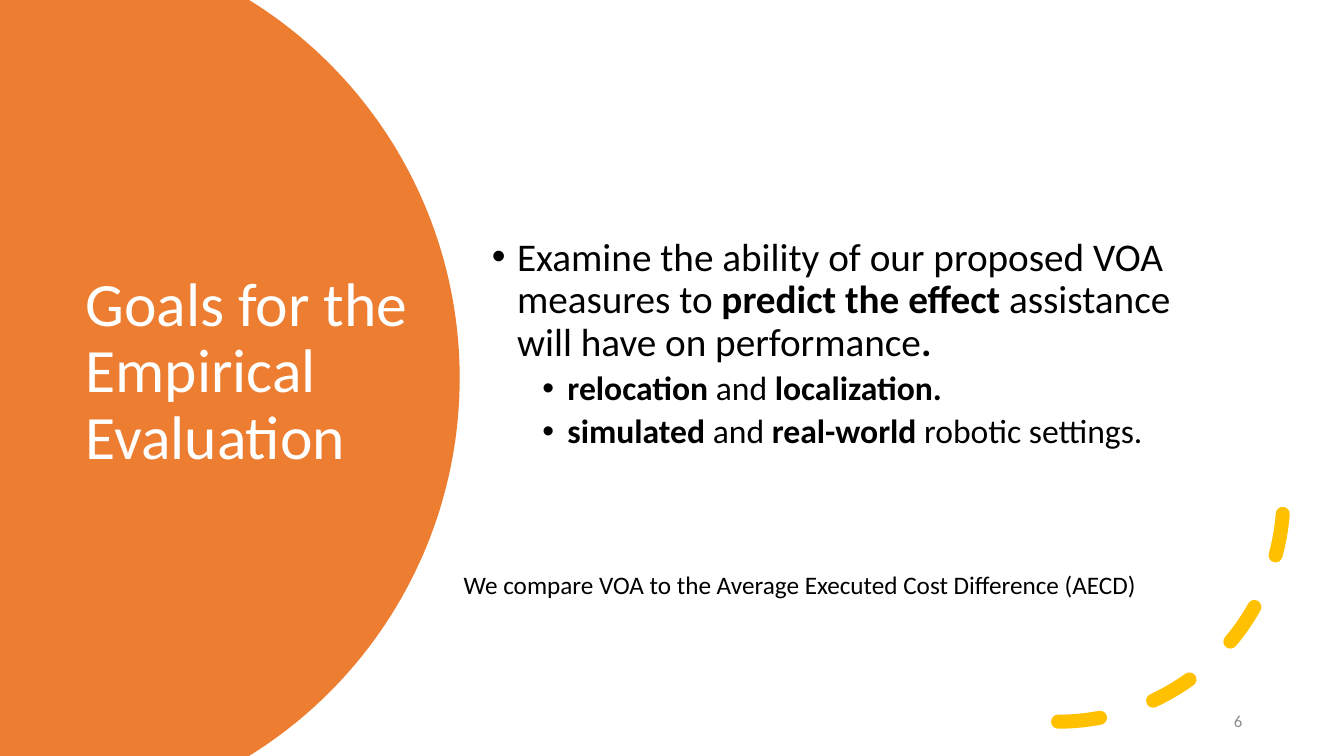
from math import asin, cos, sin

from lxml.etree import SubElement
from pptx import Presentation
from pptx.dml.color import RGBColor
from pptx.enum.dml import MSO_LINE
from pptx.enum.shapes import MSO_SHAPE
from pptx.enum.text import MSO_ANCHOR, PP_ALIGN
from pptx.oxml.ns import qn
from pptx.util import Pt

PX = 9144
SLIDE = (1333, 750)
FONT = "Calibri"
COLORS = {
    "disc": "ED7D31",
    "dashes": "FFC000",
    "title": "FFFFFF",
    "body": "000000",
    "number": "8C8C8C",
}

TITLE = "Goals for the Empirical Evaluation"
GOALS = [
    (0, [("Examine the ability of our proposed VOA measures to ", False),
         ("predict the effect", True),
         (" assistance will have on performance", False),
         (".", True)]),
    (1, [("relocation", True), (" and ", False), ("localization.", True)]),
    (1, [("simulated", True), (" and ", False), ("real-world", True),
         (" robotic settings.", False)]),
]
COMPARISON = "We compare VOA to the Average Executed Cost Difference (AECD)"
SLIDE_NUMBER = "6"

LEVELS = [
    {"size": 28, "indent": 25, "before": 10},
    {"size": 24, "indent": 75, "before": 5},
]
HANGING = 25
DISC = {"center": 15, "radius": 441, "steps": 90}
DASHES = (826, 269, 447, 447)


def color(key):
    return RGBColor.from_string(COLORS[key])


def emu(box):
    return [length * PX for length in box]


def style(font, size, key):
    font.name = FONT
    font.size = Pt(size)
    font.color.rgb = color(key)


def text_frame(slide, box, anchor=MSO_ANCHOR.MIDDLE):
    frame = slide.shapes.add_textbox(*emu(box)).text_frame
    frame.word_wrap = True
    frame.vertical_anchor = anchor
    return frame


def add_line(slide, box, text, size, key, anchor=MSO_ANCHOR.MIDDLE,
             align=PP_ALIGN.LEFT, spacing=1.0):
    frame = text_frame(slide, box, anchor)
    frame.text = text
    paragraph = frame.paragraphs[0]
    paragraph.alignment = align
    paragraph.line_spacing = spacing
    style(paragraph.runs[0].font, size, key)


def add_disc(slide):
    middle = SLIDE[1] / 2
    radius, steps = DISC["radius"], DISC["steps"]
    reach = asin(middle / radius)
    angles = [reach * (2 * step / steps - 1) for step in range(steps + 1)]
    rim = [((DISC["center"] + radius * cos(angle)) * PX,
            (middle + radius * sin(angle)) * PX) for angle in angles]
    builder = slide.shapes.build_freeform(0, 0)
    builder.add_line_segments(rim + [(0, SLIDE[1] * PX)], close=True)
    disc = builder.convert_to_shape()
    disc.shadow.inherit = False
    disc.fill.solid()
    disc.fill.fore_color.rgb = color("disc")
    disc.line.fill.background()


def add_dashes(slide):
    arc = slide.shapes.add_shape(MSO_SHAPE.ARC, *emu(DASHES))
    arc.shadow.inherit = False
    arc.fill.background()
    arc.line.color.rgb = color("dashes")
    arc.line.width = Pt(10)
    arc.line.dash_style = MSO_LINE.DASH
    properties = arc.element.spPr
    properties.find(qn("a:xfrm")).set("flipV", "1")
    properties.find(qn("a:ln")).set("cap", "rnd")


def add_goals(slide, box):
    frame = text_frame(slide, box)
    for index, (level, parts) in enumerate(GOALS):
        paragraph = frame.add_paragraph() if index else frame.paragraphs[0]
        look = LEVELS[level]
        paragraph.level = level
        paragraph.line_spacing = 0.9
        paragraph.space_before = Pt(look["before"] if index else 0)
        properties = paragraph._p.get_or_add_pPr()
        properties.set("marL", str(look["indent"] * PX))
        properties.set("indent", str(-HANGING * PX))
        SubElement(properties, qn("a:buFont"), typeface="Arial")
        SubElement(properties, qn("a:buChar"), char="•")
        for words, bold in parts:
            run = paragraph.add_run()
            run.text = words
            run.font.bold = bold
            style(run.font, look["size"], "body")


def main():
    deck = Presentation()
    deck.slide_width, deck.slide_height = emu(SLIDE)
    slide = deck.slides.add_slide(deck.slide_layouts[6])
    add_disc(slide)
    add_line(slide, (75, 126, 350, 488), TITLE, 44, "title", spacing=0.9)
    add_dashes(slide)
    add_goals(slide, (478, 186, 755, 311))
    add_line(slide, (450, 560, 740, 40), COMPARISON, 18, "body",
             anchor=MSO_ANCHOR.TOP)
    add_line(slide, (942, 695, 300, 40), SLIDE_NUMBER, 12, "number",
             align=PP_ALIGN.RIGHT)
    deck.save("out.pptx")


if __name__ == "__main__":
    main()
